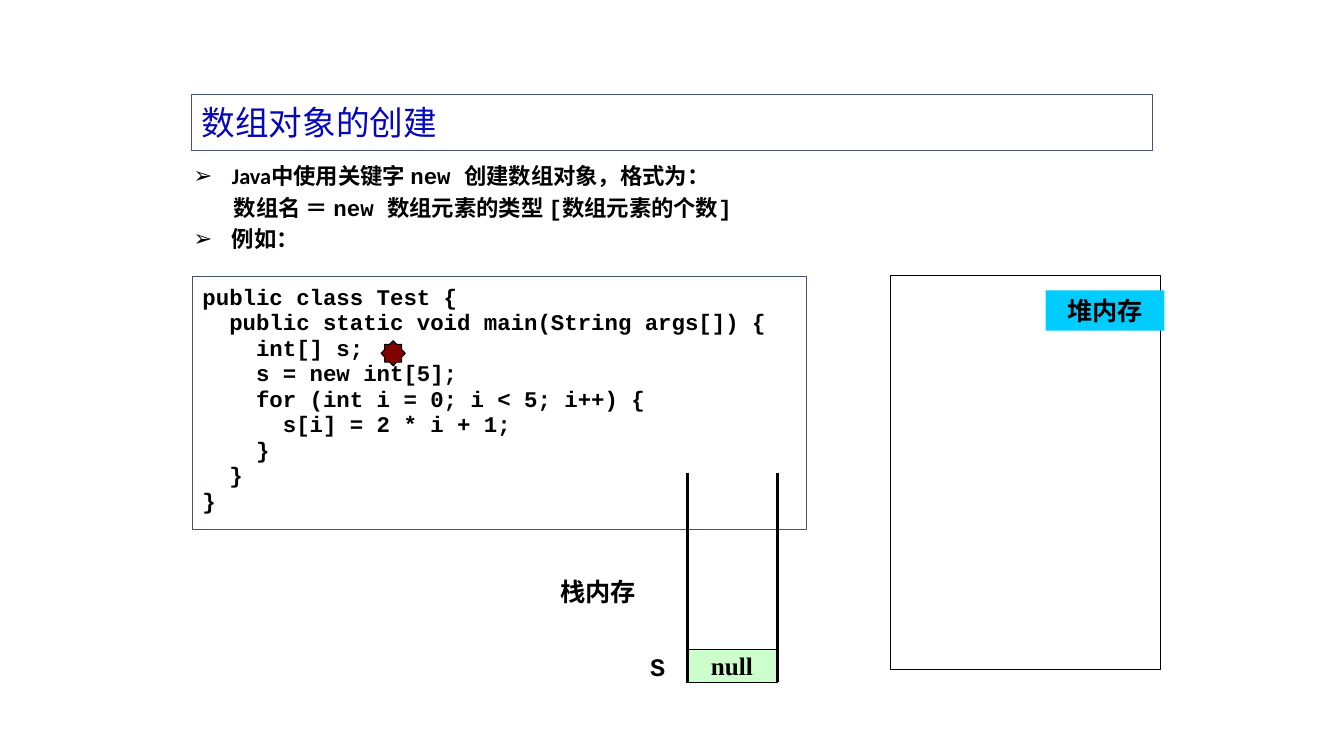
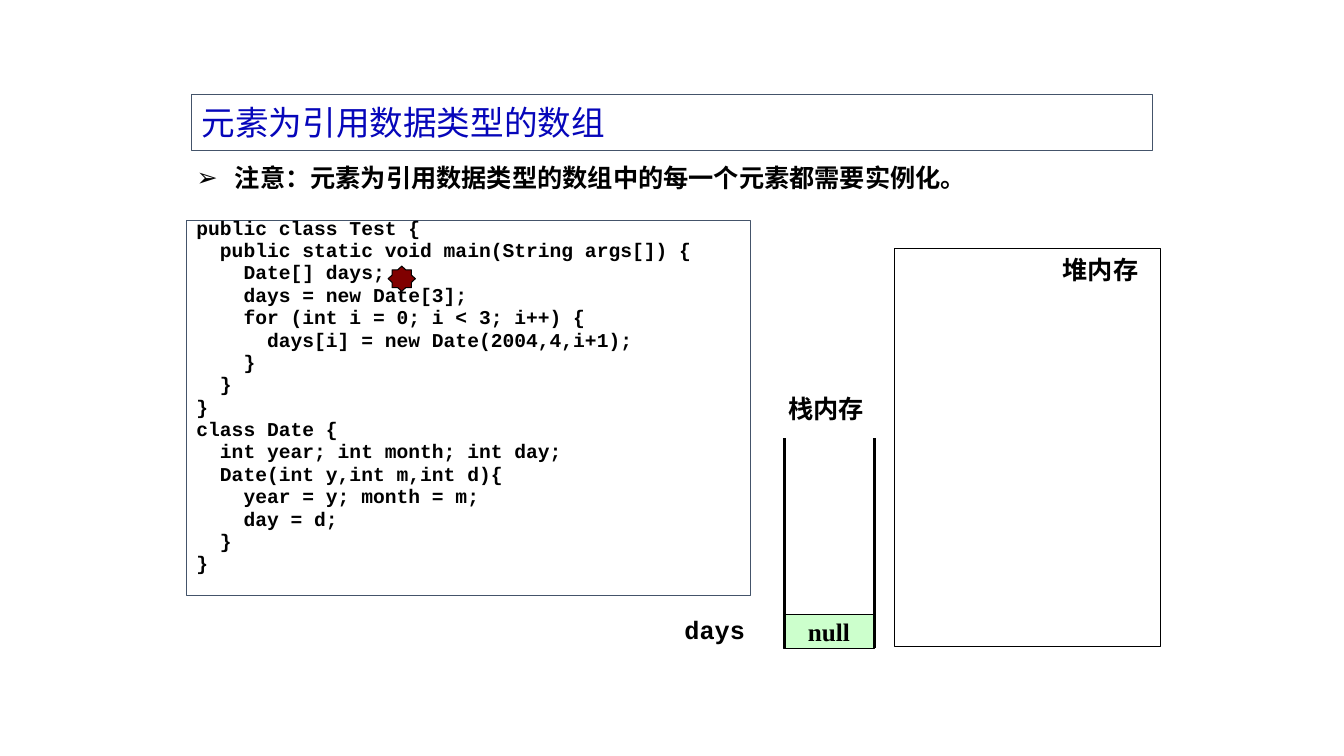
from lxml.etree import SubElement
from pptx import Presentation
from pptx.dml.color import RGBColor
from pptx.enum.shapes import MSO_CONNECTOR, MSO_SHAPE
from pptx.enum.text import MSO_ANCHOR, MSO_AUTO_SIZE, PP_ALIGN
from pptx.oxml.ns import qn
from pptx.util import Inches, Pt

# Content: a line is a string or a list of (text, font) runs
SLIDES = [
    {
        "title": "数组对象的创建",
        "points": [
            (True, [("Java中使用关键字 ", "Calibri"), ("new ", "Courier New"),
                    ("创建数组对象，格式为：", "Calibri")]),
            (False, [("数组名 ＝ new 数组元素的类型 [数组元素的个数]", "Courier New")]),
            (True, "例如："),
        ],
        "body": (1.82, 1.56, 6.29, 1.02), "size": 16,
        "code": """public class Test {
  public static void main(String args[]) {
    int[] s;
    s = new int[5];
    for (int i = 0; i < 5; i++) {
      s[i] = 2 * i + 1;
    }
  }
}""",
        "panel": (1.91, 2.74, 6.09, 2.51), "inset": 0.18, "code_size": 16,
        "heap": (8.83, 2.73, 2.68, 3.91),
        "heap_tag": (10.37, 2.88, 1.18, 0.4), "tag_fill": "cyan",
        "stack_tag": (5.34, 5.67, 1.18, 0.4),
        "cell": (6.81, 6.44),
        "name": "S", "name_box": (6.35, 6.41, 0.36, 0.4),
        "star": (3.78, 3.38, 0.24, 0.25),
    },
    {
        "title": "元素为引用数据类型的数组",
        "points": [(True, "注意：元素为引用数据类型的数组中的每一个元素都需要实例化。")],
        "body": (1.85, 1.56, 8.76, 0.49), "size": 18,
        "code": """public class Test {
  public static void main(String args[]) {
    Date[] days;
    days = new Date[3];
    for (int i = 0; i < 3; i++) {
      days[i] = new Date(2004,4,i+1);
    }
  }
}
class Date {
  int year; int month; int day;
  Date(int y,int m,int d){
    year = y; month = m;
    day = d;
  }
}""",
        "panel": (1.85, 2.19, 5.59, 3.72), "inset": 0.05, "code_size": 14,
        "heap": (8.87, 2.47, 2.64, 3.94),
        "heap_tag": (10.26, 2.47, 1.31, 0.4), "tag_fill": None,
        "stack_tag": (7.54, 3.85, 1.31, 0.4),
        "cell": (7.77, 6.1),
        "name": "days", "name_box": (6.69, 6.04, 1.22, 0.4),
        "star": (3.85, 2.64, 0.27, 0.25),
    },
]

# Shared style
COLORS = {"blue": "0606BA", "slate": "44546A", "black": "000000", "white": "FFFFFF",
          "cyan": "00CCFF", "green": "CCFFCC", "maroon": "800000"}
HAN = "Noto Sans CJK SC"
TITLE = (1.9, 0.94, 9.53, 0.55)
CELL_W, CELL_H, RAIL_H = 0.9, 0.33, 2.08


def color(name):
    return RGBColor.from_string(COLORS[name])


def write(shape, lines, font="Times New Roman", size=18, bold=True, ink="black",
          align=PP_ALIGN.LEFT, anchor=MSO_ANCHOR.MIDDLE, wrap=True,
          space=None, before=0):
    frame = shape.text_frame
    frame.auto_size = MSO_AUTO_SIZE.NONE
    frame.word_wrap = wrap
    frame.vertical_anchor = anchor
    for i, line in enumerate(lines):
        para = frame.add_paragraph() if i else frame.paragraphs[0]
        para.alignment = align
        para.space_before = Pt(before)
        if space:
            para.line_spacing = space
        for text, face in [(line, font)] if isinstance(line, str) else line:
            run = para.add_run()
            run.text = text
            run.font.name = face
            run.font.size = Pt(size)
            run.font.bold = bold
            run.font.color.rgb = color(ink)
            SubElement(run.font._element, qn("a:ea")).set("typeface", HAN)
    return frame


def place(shape, box):
    shape.left, shape.top, shape.width, shape.height = map(Inches, box)


def outline(shape, name, width=0.75):
    shape.line.color.rgb = color(name)
    shape.line.width = Pt(width)


def block(slide, box, fill=None, edge=None, kind=MSO_SHAPE.RECTANGLE):
    shape = slide.shapes.add_shape(kind, *map(Inches, box))
    shape.shadow.inherit = False
    if fill:
        shape.fill.solid()
        shape.fill.fore_color.rgb = color(fill)
    else:
        shape.fill.background()
    if edge:
        outline(shape, edge)
    else:
        shape.line.fill.background()
    return shape


def bullet(para, shown):
    props = para._p.get_or_add_pPr()
    props.set("marL", str(Inches(0.38 if shown else 0.4)))
    props.set("indent", str(Inches(-0.38 if shown else 0)))
    if shown:
        tint = SubElement(SubElement(props, qn("a:buClr")), qn("a:srgbClr"))
        tint.set("val", COLORS["black"])
        SubElement(props, qn("a:buChar")).set("char", "➢")
    else:
        SubElement(props, qn("a:buNone"))


def add_head(slide, data):
    title, body = slide.placeholders
    place(title, TITLE)
    outline(title, "slate")
    write(title, [data["title"]], font=HAN, size=24, bold=False, ink="blue")
    place(body, data["body"])
    size = data["size"]
    frame = write(body, [line for _, line in data["points"]], font="Calibri", size=size,
                  anchor=MSO_ANCHOR.TOP, space=Pt(1.2 * size), before=0.2 * size)
    for para, (shown, _) in zip(frame.paragraphs, data["points"]):
        bullet(para, shown)


def add_stack(slide, left, top):
    cell = block(slide, (left, top, CELL_W, CELL_H), "green", "black")
    write(cell, ["null"], align=PP_ALIGN.CENTER, wrap=False)
    base = top + CELL_H
    for x in (left + 0.01, left + CELL_W):
        rail = slide.shapes.add_connector(
            MSO_CONNECTOR.STRAIGHT, Inches(x), Inches(base - RAIL_H), Inches(x), Inches(base))
        outline(rail, "black", 2.25)
        SubElement(rail._element.spPr, qn("a:effectLst"))


deck = Presentation()
deck.slide_width, deck.slide_height = Inches(13.33), Inches(7.5)
for data in SLIDES:
    slide = deck.slides.add_slide(deck.slide_layouts[1])
    add_head(slide, data)

    # Code panel
    panel = block(slide, data["panel"], "white", "slate")
    size = data["code_size"]
    frame = write(panel, data["code"].split("\n"), font="Courier New", size=size,
                  anchor=MSO_ANCHOR.TOP, space=0.5, before=0.54 * size)
    frame.margin_top = Inches(data["inset"])

    # Heap and stack memory
    block(slide, data["heap"], "white", "black")
    write(block(slide, data["heap_tag"], data["tag_fill"]), ["堆内存"], align=PP_ALIGN.CENTER)
    write(block(slide, data["stack_tag"]), ["栈内存"], align=PP_ALIGN.CENTER)
    add_stack(slide, *data["cell"])
    write(block(slide, data["name_box"]), [data["name"]], font="Courier New", wrap=False)

    # Marker of the current code line
    star = block(slide, data["star"], "maroon", "black", MSO_SHAPE.STAR_8_POINT)
    star.adjustments[0] = 0.383

deck.save("out.pptx")
